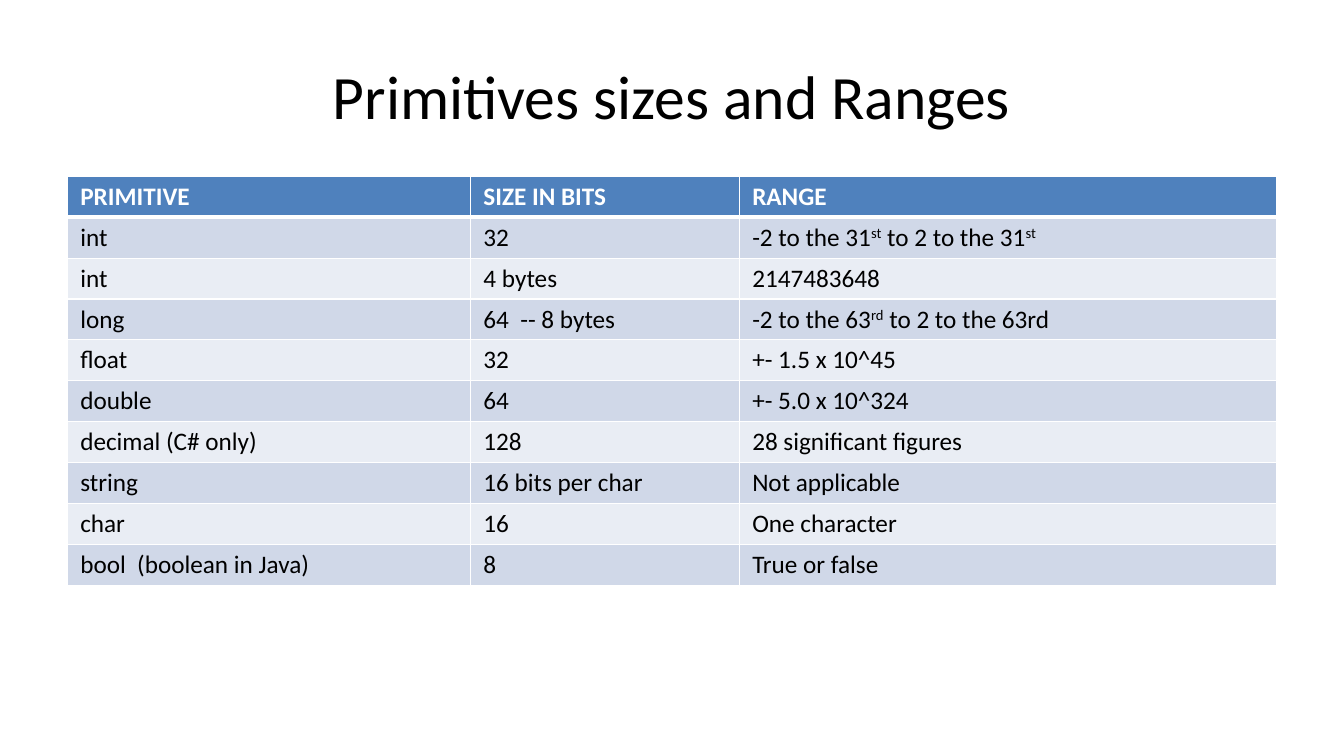
from lxml.etree import SubElement
from pptx import Presentation
from pptx.dml.color import RGBColor
from pptx.enum.text import MSO_ANCHOR, PP_ALIGN
from pptx.oxml.ns import qn
from pptx.util import Inches, Pt

COLORS = {
    "text": "000000",
    "line": "FFFFFF",
    "header": "4F81BD",
    "header_text": "FFFFFF",
    "odd_row": "D0D8E8",
    "even_row": "E9EDF4",
}
PAGE_WIDTH, PAGE_HEIGHT = Inches(13.33), Inches(7.5)
MARGIN = 0.05
CONTENT_WIDTH = 0.9
TITLE_TOP, TITLE_HEIGHT = 0.04, 0.17
TABLE_TOP = 0.7 / 3
ROW_HEIGHT = Pt(29.2)
COLUMN_SHARES = (3, 2, 4)
TITLE_FORMAT = {"name": "Calibri", "size": Pt(44), "bold": False}
CELL_FORMAT = {"name": "Calibri", "size": Pt(18), "bold": False}
HEADER_FORMAT = {**CELL_FORMAT, "bold": True}
CELL_LAYOUT = {
    "margin_left": Inches(0.13),
    "margin_right": Inches(0.13),
    "margin_top": Inches(0.05),
    "margin_bottom": Inches(0.05),
    "vertical_anchor": MSO_ANCHOR.TOP,
}
ROWS = [
    ("PRIMITIVE", "SIZE IN BITS", "RANGE"),
    ("int", "32", ("-2 to the 31", "st", " to 2 to the 31", "st")),
    ("int", "4 bytes", "2147483648"),
    ("long", "64  -- 8 bytes", ("-2 to the 63", "rd", " to 2 to the 63rd")),
    ("float", "32", "+- 1.5 x 10^45"),
    ("double", "64", "+- 5.0 x 10^324"),
    ("decimal (C# only)", "128", "28 significant figures"),
    ("string", "16 bits per char", "Not applicable"),
    ("char", "16", "One character"),
    ("bool  (boolean in Java)", "8", "True or false"),
]


def set_attributes(target, values):
    for name, value in values.items():
        setattr(target, name, value)


def add_span(para, text, font_format, color, raised=False):
    span = para.add_run()
    span.text = text
    set_attributes(span.font, font_format)
    span.font.color.rgb = RGBColor.from_string(COLORS[color])
    if raised:
        span._r.get_or_add_rPr().set("baseline", "30000")


def add_title(page, text):
    box = page.shapes.add_textbox(
        int(PAGE_WIDTH * MARGIN), int(PAGE_HEIGHT * TITLE_TOP),
        int(PAGE_WIDTH * CONTENT_WIDTH), int(PAGE_HEIGHT * TITLE_HEIGHT))
    set_attributes(box.text_frame, {"word_wrap": True, "vertical_anchor": MSO_ANCHOR.MIDDLE})
    para = box.text_frame.paragraphs[0]
    para.alignment = PP_ALIGN.CENTER
    add_span(para, text, TITLE_FORMAT, "text")


def add_borders(cell, top, bottom):
    properties = cell._tc.get_or_add_tcPr()
    for side, points in {"L": 1, "R": 1, "T": top, "B": bottom}.items():
        line = SubElement(properties, qn(f"a:ln{side}"), w=str(Pt(points)))
        fill = SubElement(line, qn("a:solidFill"))
        SubElement(fill, qn("a:srgbClr"), val=COLORS["line"])


def fill_cell(cell, content, row_index):
    header = row_index == 0
    set_attributes(cell, CELL_LAYOUT)
    add_borders(cell, 3 if row_index == 1 else 1, 3 if header else 1)
    fill = "header" if header else "odd_row" if row_index % 2 else "even_row"
    cell.fill.solid()
    cell.fill.fore_color.rgb = RGBColor.from_string(COLORS[fill])
    pieces = (content,) if isinstance(content, str) else content
    for index, piece in enumerate(pieces):
        add_span(cell.text_frame.paragraphs[0], piece,
                 HEADER_FORMAT if header else CELL_FORMAT,
                 "header_text" if header else "text", raised=index % 2 == 1)


def add_primitives_table(page, rows):
    width = int(PAGE_WIDTH * CONTENT_WIDTH)
    table = page.shapes.add_table(
        len(rows), len(COLUMN_SHARES), int(PAGE_WIDTH * MARGIN),
        int(PAGE_HEIGHT * TABLE_TOP), width, ROW_HEIGHT * len(rows)).table
    for column, share in zip(table.columns, COLUMN_SHARES):
        column.width = width * share // sum(COLUMN_SHARES)
    for row_index, contents in enumerate(rows):
        table.rows[row_index].height = ROW_HEIGHT
        for column_index, content in enumerate(contents):
            fill_cell(table.cell(row_index, column_index), content, row_index)


def main():
    deck = Presentation()
    set_attributes(deck, {"slide_width": PAGE_WIDTH, "slide_height": PAGE_HEIGHT})
    page = deck.slides.add_slide(deck.slide_layouts[6])
    add_title(page, "Primitives sizes and Ranges")
    add_primitives_table(page, ROWS)
    deck.save("out.pptx")


if __name__ == "__main__":
    main()
